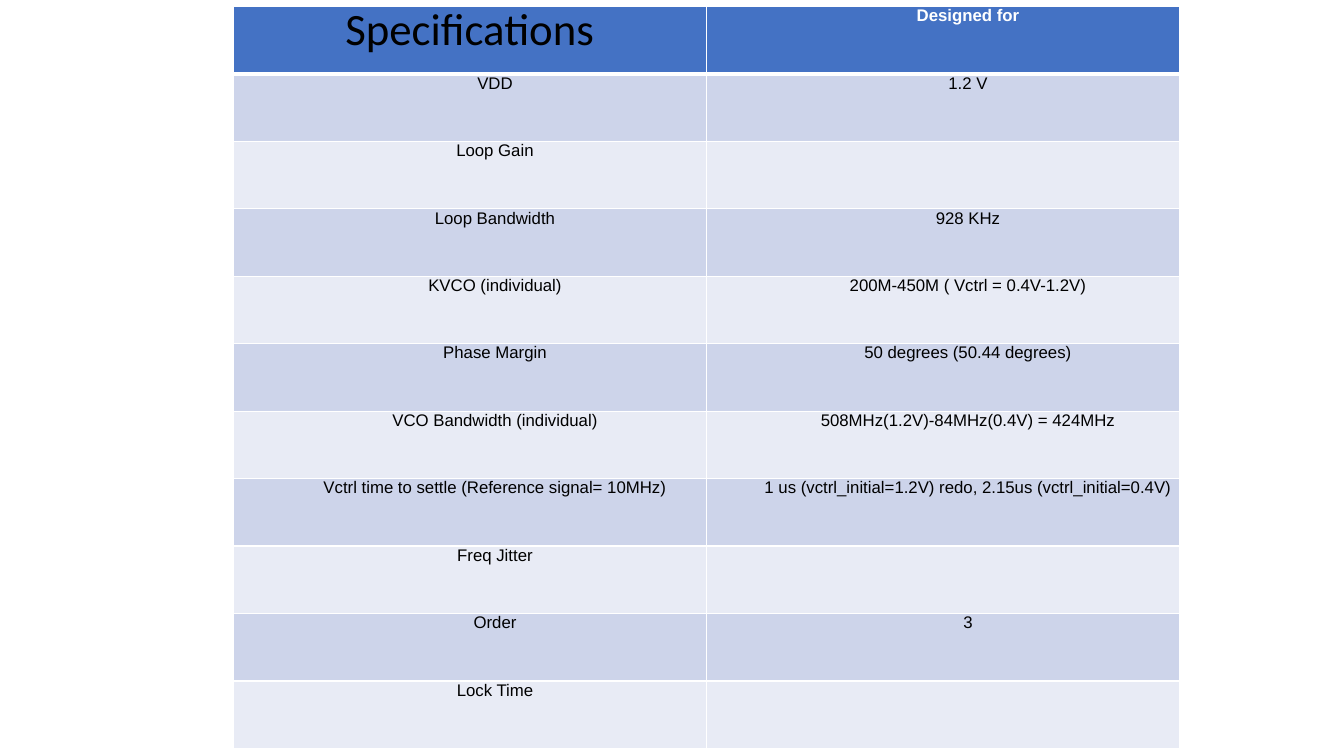
from lxml import etree
from pptx import Presentation
from pptx.dml.color import RGBColor
from pptx.enum.text import PP_ALIGN
from pptx.oxml.ns import qn
from pptx.util import Cm, Pt

CENTER = PP_ALIGN.CENTER
HEAD, BANDS = "4472C4", ("CDD4EA", "E8EBF5")
BLACK, WHITE = "000000", "FFFFFF"
SPECS = [
    ("VDD", "1.2 V"),
    ("Loop Gain", ""),
    ("Loop Bandwidth", "928 KHz"),
    ("KVCO (individual)", "200M-450M ( Vctrl = 0.4V-1.2V)"),
    ("Phase Margin", "50 degrees (50.44 degrees)"),
    ("VCO Bandwidth (individual)", "508MHz(1.2V)-84MHz(0.4V) = 424MHz"),
    ("Vctrl time to settle (Reference signal= 10MHz)",
     "1 us (vctrl_initial=1.2V) redo, 2.15us (vctrl_initial=0.4V)"),
    ("Freq Jitter", ""),
    ("Order", "3"),
    ("Lock Time", ""),
]


def paint(fill, color):
    """Give a fill one solid colour."""
    fill.solid()
    fill.fore_color.rgb = RGBColor.from_string(color)


def edge(cell, base=1):
    """Draw white borders, with the bottom one base points wide."""
    props = cell._tc.get_or_add_tcPr()
    sides = {"lnL": 1, "lnR": 1, "lnT": 1, "lnB": base}
    for spot, (side, width) in enumerate(sides.items()):
        line = etree.Element(qn(f"a:{side}"), w=str(Pt(width)))
        solid = etree.SubElement(line, qn("a:solidFill"))
        etree.SubElement(solid, qn("a:srgbClr"), val=WHITE)
        props.insert(spot, line)


def write(cell, text, color=BLACK, size=12, face="Arial", bold=False, indent=1.27):
    """Set centred text in a cell without margins."""
    cell.margin_left = cell.margin_right = Cm(0)
    cell.margin_top = cell.margin_bottom = Cm(0)
    para = cell.text_frame.paragraphs[0]
    para.text = text
    para.alignment = CENTER
    props = para._p.get_or_add_pPr()
    props.set("marL", "0")
    props.set("indent", str(Cm(indent)))
    for run in para.runs:
        run.font.name, run.font.size, run.font.bold = face, Pt(size), bold
        run.font.color.rgb = RGBColor.from_string(color)


def add_specs(slide):
    """Add the table of specifications."""
    count = len(SPECS) + 1
    frame = slide.shapes.add_table(
        count, 2, Cm(5.88), Cm(0.16), Cm(23.84), Cm(1.7 * count))
    table = frame.table
    for row in table.rows:
        row.height = Cm(1.7)
    left, right = table.rows[0].cells
    write(left, "Specifications", size=32, face="Calibri", indent=0)
    left.text_frame.paragraphs[0].line_spacing = 0.9
    write(right, "Designed for", color=WHITE, bold=True)
    for cell in (left, right):
        paint(cell.fill, HEAD)
        edge(cell, 3)
    for num, texts in enumerate(SPECS):
        for cell, text in zip(table.rows[num + 1].cells, texts):
            paint(cell.fill, BANDS[num % 2])
            edge(cell)
            if text:
                write(cell, text)


def main():
    """Build and save the slide."""
    deck = Presentation()
    deck.slide_width, deck.slide_height = Cm(33.87), Cm(19.05)
    slide = deck.slides.add_slide(deck.slide_layouts[6])
    paint(slide.background.fill, WHITE)
    add_specs(slide)
    deck.save("out.pptx")


if __name__ == "__main__":
    main()
